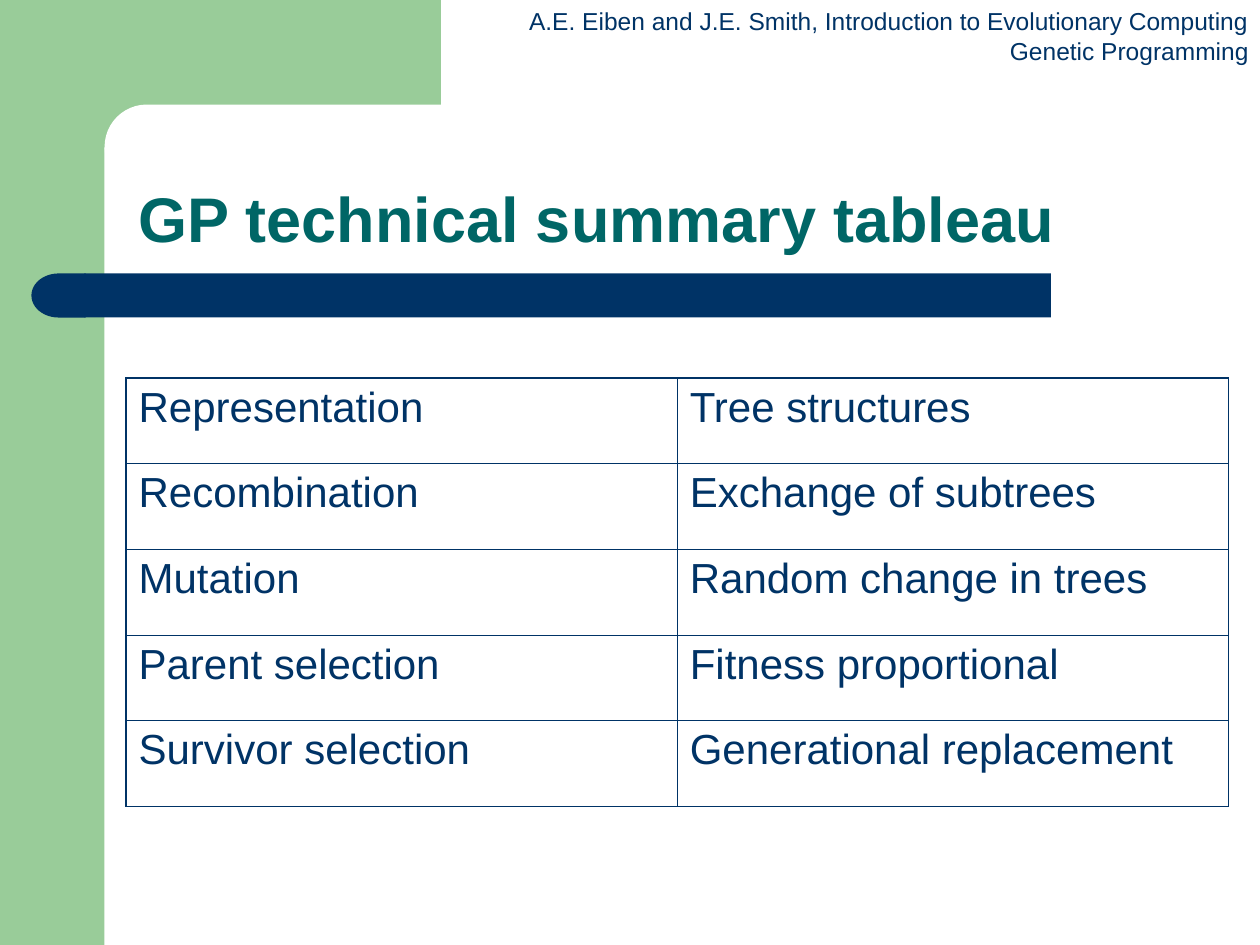
"""Build the slide summarising genetic programming in a two-column table."""
from lxml import etree
from pptx import Presentation
from pptx import util as u
from pptx.dml.color import RGBColor
from pptx.enum import shapes, text
from pptx.oxml.ns import qn

GREEN = RGBColor(0x99, 0xCC, 0x99)
NAVY = RGBColor(0x00, 0x33, 0x66)
TEAL = RGBColor(0x00, 0x66, 0x66)
WHITE = RGBColor(0xFF, 0xFF, 0xFF)
FONT = "Arial"
THICK, THIN = 1.08, 0.45

HEADER = ("A.E. Eiben and J.E. Smith, Introduction to Evolutionary Computing\n"
          "Genetic Programming")
TITLE = "GP technical summary tableau"
SUMMARY = [
    ("Representation", "Tree structures"),
    ("Recombination", "Exchange of subtrees"),
    ("Mutation", "Random change in trees"),
    ("Parent selection", "Fitness proportional"),
    ("Survivor selection", "Generational replacement"),
]

KIND = shapes.MSO_SHAPE
DECORATION = [
    (KIND.RECTANGLE, (0, 0, 0.83, 7.5), GREEN, None),
    (KIND.RECTANGLE, (0.75, 0, 2.75, 1.17), GREEN, None),
    (KIND.ROUNDED_RECTANGLE, (0.83, 0.83, 5.58, 0.67), WHITE, 0.5),
    (KIND.RECTANGLE, (0.67, 2.17, 7.67, 0.35), NAVY, None),
    (KIND.FLOWCHART_DELAY, (0.25, 2.17, 0.43, 0.35), NAVY, None),
]
HEADER_AREA = (4.1, 0, 5.91, 0.57)
TITLE_AREA = (1, 0.83, 8.75, 1.25)
TABLE_AREA = (1, 3, 8.75, 3.4)


def inches(area):
    return [u.Inches(length) for length in area]


def style(frame, size, color, bold=False, align=text.PP_ALIGN.LEFT):
    for para in frame.paragraphs:
        para.alignment = align
        for span in para.runs:
            span.font.name = FONT
            span.font.size = u.Pt(size)
            span.font.bold = bold
            span.font.color.rgb = color


def add_decoration(page, kind, area, color, rounding):
    shape = page.shapes.add_shape(kind, *inches(area))
    shape.shadow.inherit = False
    shape.fill.solid()
    shape.fill.fore_color.rgb = color
    shape.line.fill.background()
    if rounding is not None:
        shape.adjustments[0] = rounding
    if kind == KIND.FLOWCHART_DELAY:
        shape.element.spPr.find(qn("a:xfrm")).set("flipH", "1")


def add_text(page, area, words, wrap):
    box = page.shapes.add_textbox(*inches(area))
    box.text_frame.word_wrap = wrap
    box.text_frame.text = words
    return box.text_frame


def set_border(cell, side, points):
    line = etree.SubElement(cell._tc.get_or_add_tcPr(), qn(f"a:ln{side}"),
                            w=str(u.Pt(points)))
    fill = etree.SubElement(line, qn("a:solidFill"))
    etree.SubElement(fill, qn("a:srgbClr"), val=str(NAVY))


def add_summary(page):
    rows, columns = len(SUMMARY), len(SUMMARY[0])
    table = page.shapes.add_table(rows, columns, *inches(TABLE_AREA)).table
    table.first_row = table.horz_banding = False
    for r, entries in enumerate(SUMMARY):
        for c, words in enumerate(entries):
            cell = table.cell(r, c)
            cell.text = words
            style(cell.text_frame, 24, NAVY)
            outer = {"L": c == 0, "R": c == columns - 1,
                     "T": r == 0, "B": r == rows - 1}
            for side, on_edge in outer.items():
                set_border(cell, side, THICK if on_edge else THIN)
            cell.fill.background()


def main():
    deck = Presentation()
    deck.slide_width, deck.slide_height = inches((10, 7.5))
    page = deck.slides.add_slide(deck.slide_layouts[6])
    for part in DECORATION:
        add_decoration(page, *part)

    header = add_text(page, HEADER_AREA, HEADER, False)
    style(header, 14, NAVY, align=text.PP_ALIGN.RIGHT)

    title = add_text(page, TITLE_AREA, TITLE, True)
    title.vertical_anchor = text.MSO_ANCHOR.BOTTOM
    title.paragraphs[0].line_spacing = 0.9
    style(title, 36, TEAL, bold=True)

    add_summary(page)
    deck.save("out.pptx")


if __name__ == "__main__":
    main()
